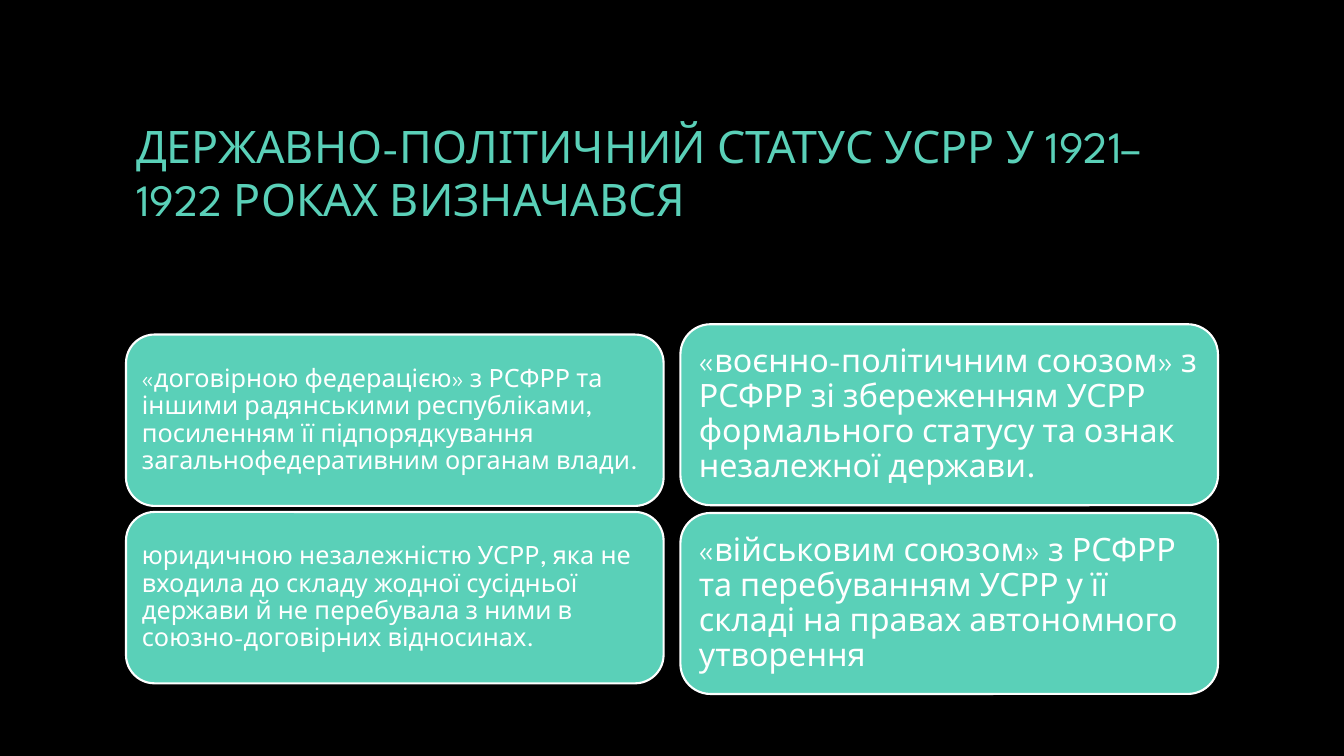
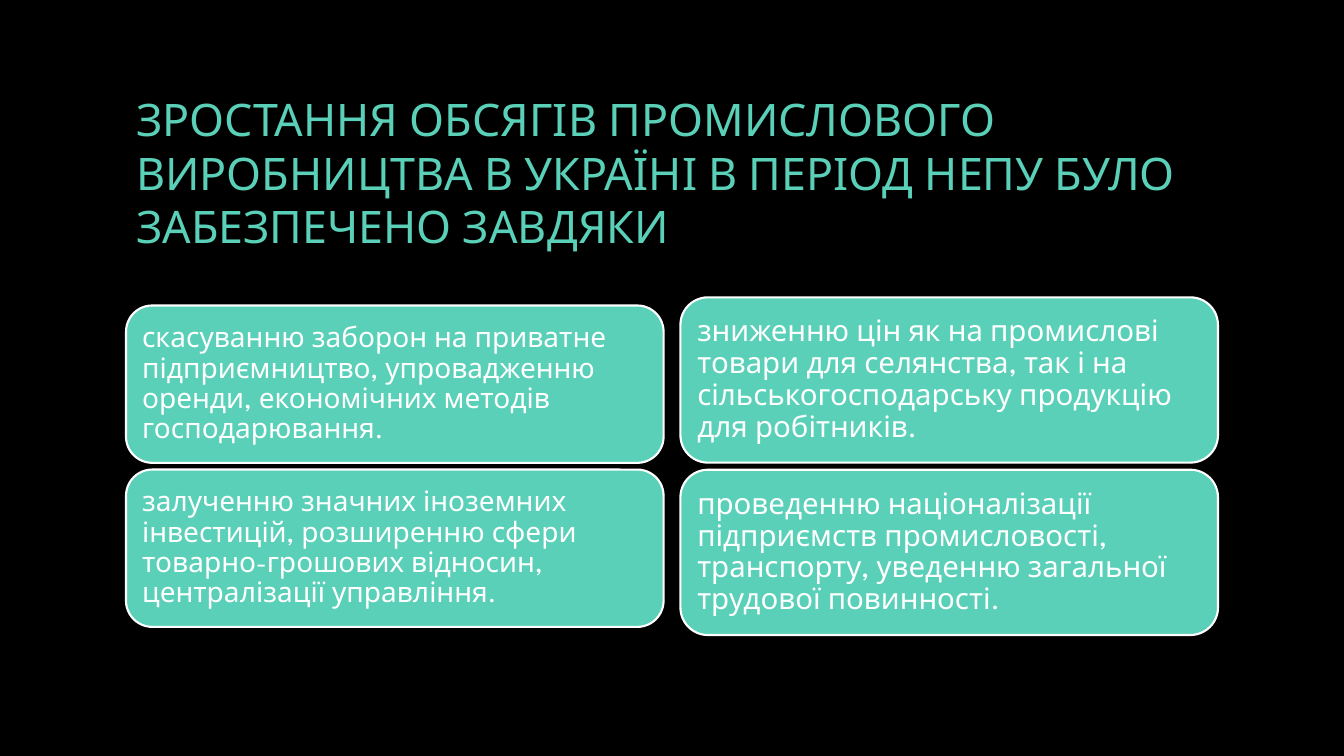
from pptx import Presentation
from pptx import util as u
from pptx.dml import color
from pptx.enum import shapes, text

COLORS = {"background": "000000", "accent": "5AD0B8", "light": "FFFFFF"}
FONT = "League Spartan"
LEFT, COLUMN_WIDTH, COLUMN_STEP = 90, 384, 396
INSET_RATIO, GAP_RATIO = 0.3, 0.24


def rgb(name):
    return color.RGBColor.from_string(COLORS[name])


def write(frame, content, size, color_name, inset_x, inset_y, spacing):
    frame.word_wrap = True
    frame.auto_size = text.MSO_AUTO_SIZE.NONE
    frame.vertical_anchor = text.MSO_ANCHOR.MIDDLE
    frame.margin_left = frame.margin_right = u.Pt(inset_x)
    frame.margin_top = frame.margin_bottom = u.Pt(inset_y)
    paragraph = frame.paragraphs[0]
    paragraph.alignment = text.PP_ALIGN.LEFT
    paragraph.line_spacing = spacing
    run = paragraph.add_run()
    run.text = content
    run.font.name = FONT
    run.font.size = u.Pt(size)
    run.font.color.rgb = rgb(color_name)


SLIDES = [
    {
        "title": "ДЕРЖАВНО-ПОЛІТИЧНИЙ СТАТУС УСРР У 1921–1922 РОКАХ ВИЗНАЧАВСЯ",
        "columns": [
            {"top": 239, "height": 122.4, "size": 18, "cards": [
                "«договірною федерацією» з РСФРР та іншими радянськими республіками, посиленням її підпорядкування загальнофедеративним органам влади.",
                "юридичною незалежністю УСРР, яка не входила до складу жодної сусідньої держави й не перебувала з ними в союзно-договірних відносинах.",
            ]},
            {"top": 231.6, "height": 129.3, "size": 23, "cards": [
                "«воєнно-політичним союзом» з РСФРР зі збереженням УСРР формального статусу та ознак незалежної держави.",
                "«військовим союзом» з РСФРР та перебуванням УСРР у її складі на правах автономного утворення",
            ]},
        ],
    },
    {
        "title": "ЗРОСТАННЯ ОБСЯГІВ ПРОМИСЛОВОГО ВИРОБНИЦТВА В УКРАЇНІ В ПЕРІОД НЕПУ БУЛО ЗАБЕЗПЕЧЕНО ЗАВДЯКИ",
        "columns": [
            {"top": 218.2, "height": 112.4, "size": 20, "cards": [
                "скасуванню заборон на приватне підприємництво, упровадженню оренди, економічних методів господарювання.",
                "залученню значних іноземних інвестицій, розширенню сфери товарно-грошових відносин, централізації управління.",
            ]},
            {"top": 212.4, "height": 118.1, "size": 21, "cards": [
                "зниженню цін як на промислові товари для селянства, так і на сільськогосподарську продукцію для робітників.",
                "проведенню націоналізації підприємств промисловості, транспорту, уведенню загальної трудової повинності.",
            ]},
        ],
    },
]

presentation = Presentation()
presentation.slide_width, presentation.slide_height = u.Pt(960), u.Pt(540)
background = presentation.slide_master.background.fill
background.solid()
background.fore_color.rgb = rgb("background")
layout = presentation.slide_layouts[5]

for content in SLIDES:
    slide = presentation.slides.add_slide(layout)
    title = slide.shapes.title
    title.left, title.top = u.Pt(LEFT), u.Pt(48)
    title.width, title.height = u.Pt(COLUMN_STEP + COLUMN_WIDTH), u.Pt(150)
    write(title.text_frame, content["title"], 32, "accent", 7.2, 3.6, 1.0)

    for column_index, column in enumerate(content["columns"]):
        size, height = column["size"], column["height"]
        row_step = height + GAP_RATIO * size
        for row_index, card_text in enumerate(column["cards"]):
            card = slide.shapes.add_shape(
                shapes.MSO_SHAPE.ROUNDED_RECTANGLE,
                u.Pt(LEFT + column_index * COLUMN_STEP),
                u.Pt(column["top"] + row_index * row_step),
                u.Pt(COLUMN_WIDTH),
                u.Pt(height),
            )
            card.shadow.inherit = False
            card.fill.solid()
            card.fill.fore_color.rgb = rgb("accent")
            card.line.color.rgb = rgb("light")
            card.line.width = u.Pt(1.5)
            inset = INSET_RATIO * size
            write(card.text_frame, card_text, size, "light", inset, inset, 0.9)

presentation.save("out.pptx")
